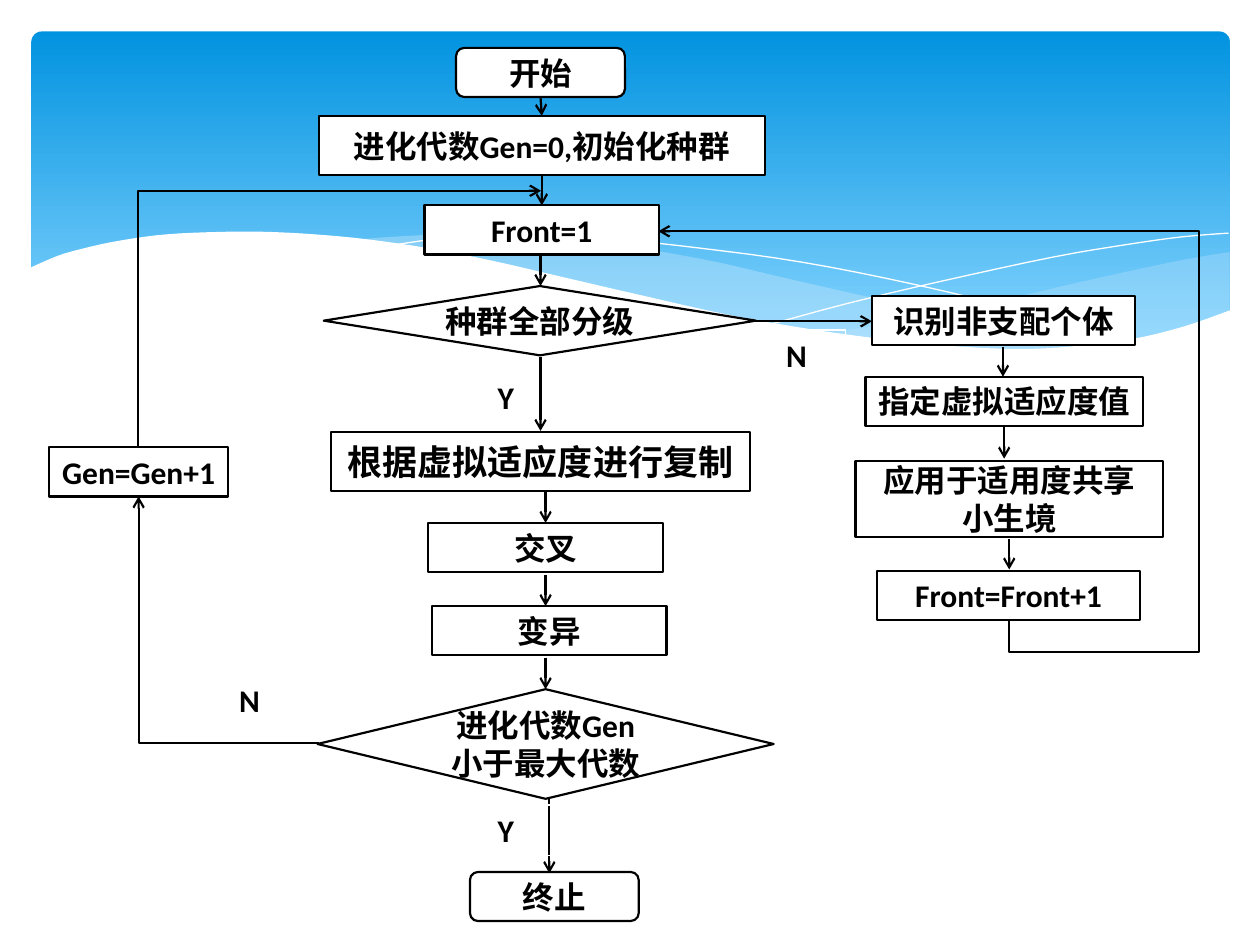
import lxml.etree
import pptx
import pptx.dml.color
import pptx.enum.shapes
import pptx.enum.text
import pptx.oxml.ns
import pptx.util

Inches = pptx.util.Inches
SHAPE = pptx.enum.shapes.MSO_SHAPE
CONNECTOR = pptx.enum.shapes.MSO_CONNECTOR
BLACK, WHITE, PALE_BLUE = "000000", "FFFFFF", "C6E7FC"

NEAR_WAVE = [(9.76, 2), (9.35, 2.07), (8.61, 2.23), (7.79, 2.42), (7.06, 2.57), (6.61, 2.65),
             (7.05, 2.71), (7.57, 2.76), (8.14, 2.78), (8.63, 2.75), (9.13, 2.67),
             (9.49, 2.57), (9.76, 2.47)]
FAR_WAVE = [(8.93, 2.73), (8.37, 2.65), (7.41, 2.47), (6.29, 2.22), (5.69, 2.08),
            (5.14, 1.98), (4.65, 1.91), (4.2, 1.87), (3.8, 1.85), (3.28, 1.87), (2.86, 1.91),
            (3.42, 1.99), (4.04, 2.11), (4.91, 2.32), (5.66, 2.48), (6.34, 2.61), (6.95, 2.7),
            (7.48, 2.76), (8.07, 2.78), (8.57, 2.77), (8.93, 2.73)]
FALLING_CURVE = [(3.09, 1.95), (3.44, 1.9), (3.87, 1.87), (4.33, 1.87), (4.89, 1.9),
                 (5.56, 1.97), (6.36, 2.08), (7.27, 2.26), (8.31, 2.51), (9.07, 2.72)]
RISING_CURVE = [(6.13, 2.57), (6.72, 2.41), (7.48, 2.23), (8.36, 2.04), (8.95, 1.94),
                (9.38, 1.88), (9.75, 1.85)]
WHITE_WAVE = [(9.77, 2.46), (9.4, 2.59), (8.99, 2.69), (8.5, 2.75), (8.09, 2.77), (7.61, 2.75),
              (7.08, 2.7), (6.48, 2.62), (5.79, 2.5), (5.03, 2.33), (4.47, 2.2), (3.91, 2.07),
              (3.4, 1.97), (2.92, 1.9), (2.5, 1.86), (2.11, 1.84), (1.77, 1.84), (1.32, 1.86),
              (0.95, 1.91), (0.67, 1.97), (0.46, 2.03), (0.23, 2.13)]
WHITE_BASE = [(0.23, 3.29), (9.77, 3.29)]


def color(hex_string):
    return pptx.dml.color.RGBColor.from_string(hex_string)


def add_child(parent, tag, **attributes):
    child = lxml.etree.SubElement(parent, pptx.oxml.ns.qn(tag))
    for name, value in attributes.items():
        child.set(name, str(value))
    return child


def smooth(anchors, steps=4):
    """Return points on a Catmull-Rom curve through the anchors."""
    padded = [anchors[0], *anchors, anchors[-1]]
    points = [anchors[0]]
    for a, b, c, d in zip(padded, padded[1:], padded[2:], padded[3:]):
        for step in range(1, steps + 1):
            t = step / steps
            points.append(tuple(
                (2 * q + (r - p) * t + (2 * p - 5 * q + 4 * r - s) * t ** 2
                 + (3 * q - p - 3 * r + s) * t ** 3) / 2
                for p, q, r, s in zip(a, b, c, d)))
    return points


def add_freeform(slide, points, closed):
    points = [(Inches(x), Inches(y)) for x, y in points]
    builder = slide.shapes.build_freeform(*points[0])
    builder.add_line_segments(points[1:], close=closed)
    shape = builder.convert_to_shape()
    shape.shadow.inherit = False
    return shape


def add_wave(slide, points, fill, opacity=100):
    shape = add_freeform(slide, points, closed=True)
    shape.fill.solid()
    shape.fill.fore_color.rgb = color(fill)
    shape.line.fill.background()
    if opacity < 100:
        rgb = shape.fill._xPr.find(".//" + pptx.oxml.ns.qn("a:srgbClr"))
        add_child(rgb, "a:alpha", val=opacity * 1000)


def add_curve(slide, points):
    shape = add_freeform(slide, points, closed=False)
    shape.fill.background()
    shape.line.color.rgb = color(WHITE)
    shape.line.width = 0


def add_background(slide):
    panel = slide.shapes.add_shape(
        SHAPE.ROUNDED_RECTANGLE, Inches(0.25), Inches(0.25), Inches(9.51), Inches(2.7))
    panel.adjustments[0] = 0.03
    panel.shadow.inherit = False
    panel.line.fill.background()
    panel.fill.gradient()
    panel.fill.gradient_angle = 270
    stops = [(0, "0293E0"), (0.9, "83D3FE")]
    for stop, (position, hex_string) in zip(panel.fill.gradient_stops, stops):
        stop.position = position
        stop.color.rgb = color(hex_string)
    add_wave(slide, smooth(NEAR_WAVE), PALE_BLUE, opacity=29)
    add_wave(slide, smooth(FAR_WAVE), PALE_BLUE, opacity=40)
    add_curve(slide, smooth(FALLING_CURVE))
    add_curve(slide, smooth(RISING_CURVE))
    add_wave(slide, smooth(WHITE_WAVE) + WHITE_BASE, WHITE)


def set_text(shape, text, size=18, wrap=False, centered=True):
    frame = shape.text_frame
    frame.word_wrap = wrap
    frame.vertical_anchor = (pptx.enum.text.MSO_ANCHOR.MIDDLE if centered
                             else pptx.enum.text.MSO_ANCHOR.TOP)
    paragraph = frame.paragraphs[0]
    paragraph.alignment = (pptx.enum.text.PP_ALIGN.CENTER if centered
                           else pptx.enum.text.PP_ALIGN.LEFT)
    run = paragraph.add_run()
    run.text = text
    run.font.name = "Calibri"
    run.font.size = pptx.util.Pt(size)
    run.font.bold = True
    run.font.color.rgb = color(BLACK)


def add_step(slide, text, left, top, width, height=0.39, kind=SHAPE.RECTANGLE, **text_format):
    shape = slide.shapes.add_shape(
        kind, Inches(left), Inches(top), Inches(width), Inches(height))
    shape.shadow.inherit = False
    shape.fill.solid()
    shape.fill.fore_color.rgb = color(WHITE)
    shape.line.color.rgb = color(BLACK)
    shape.line.width = pptx.util.Pt(1.25)
    set_text(shape, text, **text_format)


def add_label(slide, text, left, top, width, outlined=True):
    label = slide.shapes.add_textbox(Inches(left), Inches(top), Inches(width), Inches(0.4))
    if outlined:
        label.line.color.rgb = color(WHITE)
        label.line.width = pptx.util.Pt(0.75)
    set_text(label, text, wrap=True, centered=False)


def add_arrow(slide, x1, y1, x2, y2, kind=CONNECTOR.STRAIGHT):
    arrow = slide.shapes.add_connector(kind, Inches(x1), Inches(y1), Inches(x2), Inches(y2))
    arrow.line.color.rgb = color(BLACK)
    arrow.line.width = pptx.util.Pt(1.25)
    add_child(arrow.line._get_or_add_ln(), "a:tailEnd", type="arrow")
    add_child(arrow._element.spPr, "a:effectLst")
    return arrow


def add_elbow(slide, left, top, width, height, preset, rotation, flips=(), adjustments=()):
    """Add a bent arrow; the frame is the one before rotation."""
    arrow = add_arrow(slide, left, top, left + width, top + height, CONNECTOR.ELBOW)
    properties = arrow._element.spPr
    transform = properties.find(pptx.oxml.ns.qn("a:xfrm"))
    transform.set("rot", str(rotation * 60000))
    for flip in flips:
        transform.set(flip, "1")
    geometry = properties.find(pptx.oxml.ns.qn("a:prstGeom"))
    geometry.set("prst", preset)
    values = geometry.find(pptx.oxml.ns.qn("a:avLst"))
    for number, value in enumerate(adjustments, 1):
        add_child(values, "a:gd", name=f"adj{number}", fmla=f"val {value}")


def add_steps(slide):
    add_step(slide, "开始", 3.62, 0.38, 1.34, kind=SHAPE.ROUNDED_RECTANGLE)
    add_step(slide, "终止", 3.73, 6.92, 1.34, kind=SHAPE.ROUNDED_RECTANGLE)
    add_step(slide, "进化代数Gen=0,初始化种群", 2.53, 0.92, 3.54, 0.47)
    add_step(slide, "Front=1", 3.37, 1.63, 1.86)
    add_step(slide, "进化代数Gen小于最大代数", 2.52, 5.47, 3.62, 0.87,
             kind=SHAPE.FLOWCHART_DECISION, wrap=True)
    add_step(slide, "根据虚拟适应度进行复制", 2.63, 3.43, 3.32, 0.47, size=20)
    add_step(slide, "交叉", 3.4, 4.15, 1.86)
    add_step(slide, "变异", 3.43, 4.81, 1.86)
    add_step(slide, "种群全部分级", 2.57, 2.27, 3.43, 0.55, kind=SHAPE.FLOWCHART_DECISION)
    add_step(slide, "Gen=Gen+1", 0.39, 3.55, 1.42)
    add_step(slide, "识别非支配个体", 6.92, 2.35, 2.09)
    add_step(slide, "指定虚拟适应度值", 6.87, 2.99, 2.2)
    add_step(slide, "应用于适用度共享小生境", 6.79, 3.66, 2.44, 0.6, wrap=True)
    add_step(slide, "Front=Front+1", 6.96, 4.53, 2.09)


def add_flow(slide):
    add_arrow(slide, 4.29, 0.77, 4.3, 0.92)
    add_arrow(slide, 6, 2.55, 6.92, 2.55)
    down_arrows = [(4.3, 1.4, 1.63), (4.29, 2.03, 2.27), (4.29, 2.83, 3.42), (4.33, 3.9, 4.15),
                   (4.33, 4.56, 4.81), (4.33, 5.22, 5.47), (4.36, 6.33, 6.93),
                   (7.96, 2.75, 2.99), (7.97, 3.39, 3.64), (8.01, 4.28, 4.52)]
    for x, top, bottom in down_arrows:
        add_arrow(slide, x, top, x, bottom)
    add_elbow(slide, 1.1, 3.94, 1.43, 1.96, "bentConnector2", 180)
    add_elbow(slide, 1.68, 0.93, 2.03, 3.2, "bentConnector2", 90, flips=("flipH", "flipV"))
    add_elbow(slide, 5.07, 1.99, 3.09, 2.78, "bentConnector4", 90, flips=("flipH",),
              adjustments=(-8100, -54300))
    add_label(slide, "Y", 3.85, 2.95, 0.71, outlined=False)
    add_label(slide, "N", 6.14, 2.62, 0.57)
    add_label(slide, "Y", 3.85, 6.39, 0.71)
    add_label(slide, "N", 1.8, 5.36, 0.57)


def main():
    presentation = pptx.Presentation()
    presentation.slide_width = Inches(10)
    presentation.slide_height = Inches(7.5)
    slide = presentation.slides.add_slide(presentation.slide_layouts[6])
    add_background(slide)
    add_steps(slide)
    add_flow(slide)
    presentation.save("out.pptx")


if __name__ == "__main__":
    main()
